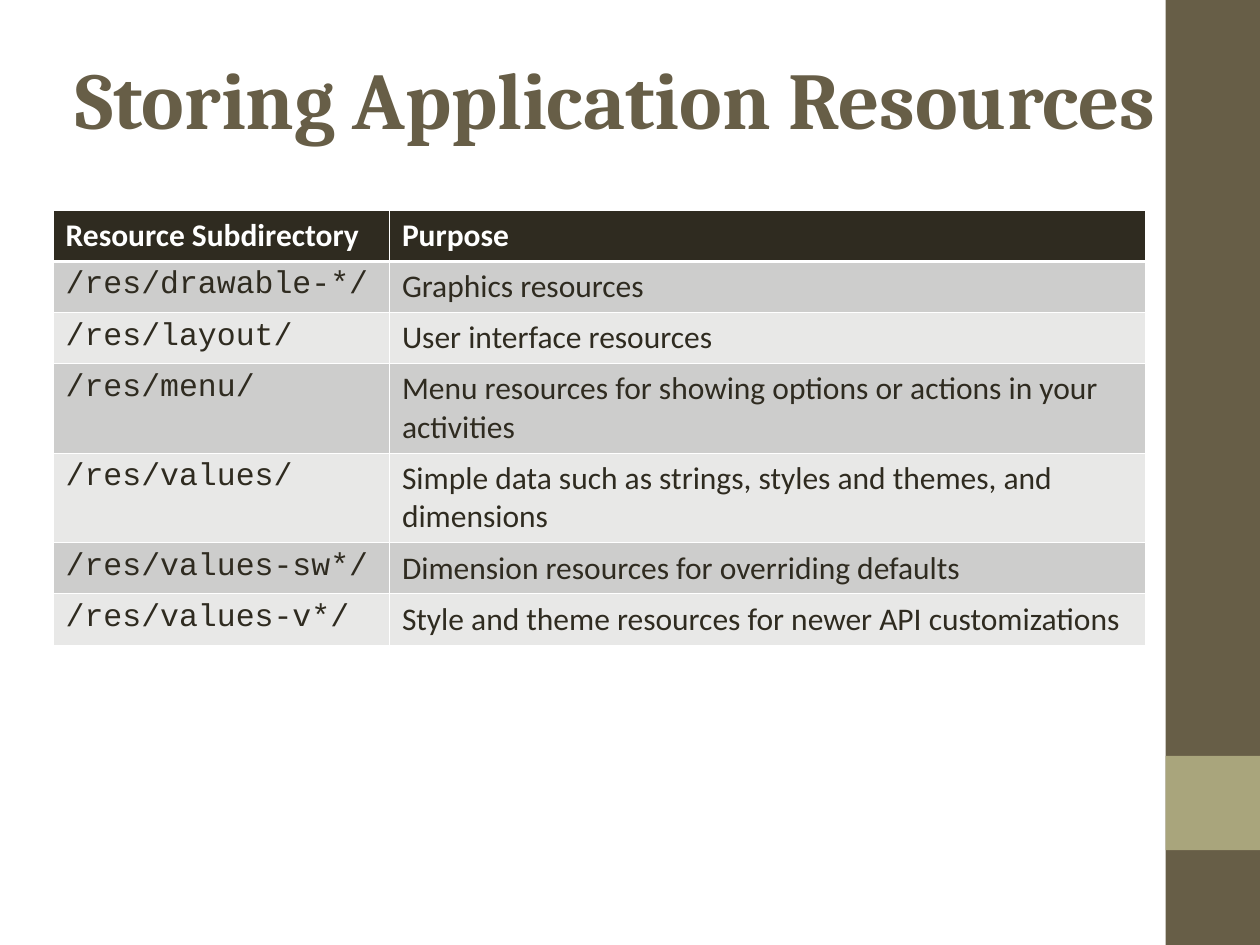
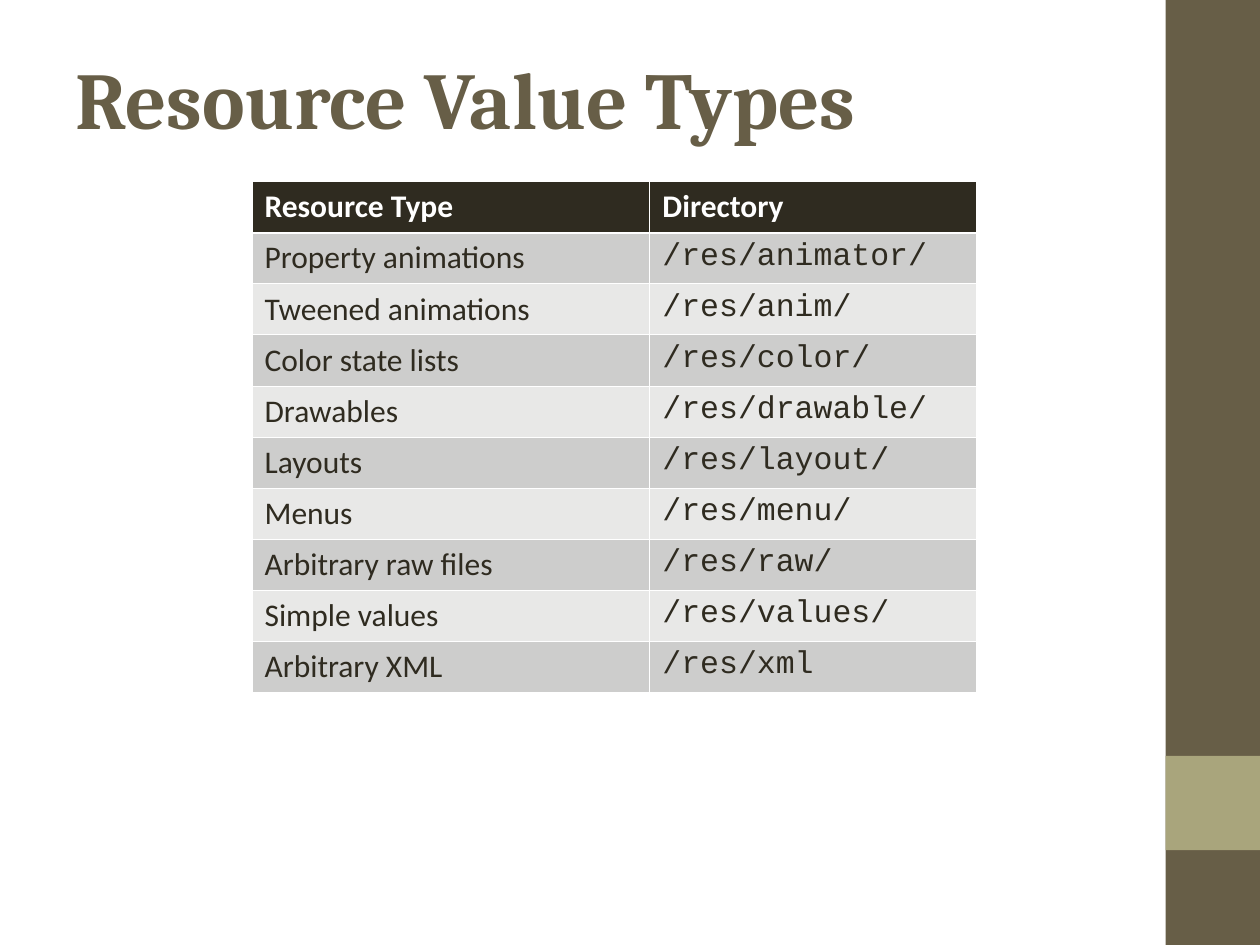
from lxml import etree
from pptx import Presentation
from pptx import util as u
from pptx.dml.color import RGBColor
from pptx.enum import shapes, text
from pptx.oxml import ns

COLORS = {
    "brown": "675E47",
    "olive": "A9A57C",
    "dark": "2F2B20",
    "white": "FFFFFF",
    "odd_row": "CDCDCC",
    "even_row": "E8E8E7",
}
TITLE_FONT, BODY_FONT, CODE_FONT = "Cambria", "Calibri", "Courier New"
TITLE_SIZE, BODY_SIZE = 46, 18
THIN, THICK = 0.45, 1.47  # cell border widths in points
LINE_HEIGHT, CELL_PADDING = 0.77, 0.26  # cm, for table rows


class Deck:
    """Holds the style and the current slide."""

    def __init__(self):
        self.presentation = Presentation()
        self.presentation.slide_width = u.Cm(25.4)
        self.presentation.slide_height = u.Cm(19.05)
        self.layout = self.presentation.slide_layouts[5]  # title only
        self.slide = None

    def color(self, name):
        return RGBColor.from_string(COLORS[name])

    def add_slide(self, title):
        self.slide = self.presentation.slides.add_slide(self.layout)
        self.add_title(title)

    def add_title(self, title):
        shape = self.slide.shapes.title
        shape.left, shape.top = u.Cm(1.27), u.Cm(0.76)
        shape.width, shape.height = u.Cm(22.86), u.Cm(2.41)
        frame = shape.text_frame
        frame.text = title
        frame.word_wrap = True
        frame.auto_size = text.MSO_AUTO_SIZE.NONE
        frame.vertical_anchor = text.MSO_ANCHOR.MIDDLE
        self.format_text(frame, TITLE_FONT, TITLE_SIZE, "brown", True)

    def format_text(self, frame, font_name, size, color, bold):
        for paragraph in frame.paragraphs:
            paragraph.alignment = text.PP_ALIGN.LEFT
            for run in paragraph.runs:
                run.font.name = font_name
                run.font.size = u.Pt(size)
                run.font.bold = bold
                run.font.color.rgb = self.color(color)

    def add_shared_band(self, top, height, color):
        """Draw a band at the right edge and move it to the shared layout."""
        shape = self.slide.shapes.add_shape(
            shapes.MSO_SHAPE.RECTANGLE,
            u.Cm(23.5), u.Cm(top), u.Cm(1.9), u.Cm(height))
        shape.shadow.inherit = False
        shape.fill.solid()
        shape.fill.fore_color.rgb = self.color(color)
        shape.line.fill.background()
        self.layout.shapes.element.append(shape.element)

    def add_borders(self, cell, top, bottom):
        properties = cell._tc.get_or_add_tcPr()
        widths = {"lnL": THIN, "lnR": THIN, "lnT": top, "lnB": bottom}
        for tag, width in widths.items():
            line = etree.SubElement(properties, ns.qn("a:" + tag),
                                    w=str(u.Pt(width)))
            fill = etree.SubElement(line, ns.qn("a:solidFill"))
            etree.SubElement(fill, ns.qn("a:srgbClr"), val=COLORS["white"])

    def add_table(self, left, top, widths, rows, two_line_rows=()):
        """The first row is the header; directory names are set as code."""
        heights = [CELL_PADDING + LINE_HEIGHT * (2 if i in two_line_rows else 1)
                   for i in range(len(rows))]
        table = self.slide.shapes.add_table(
            len(rows), len(widths), u.Cm(left), u.Cm(top),
            u.Cm(sum(widths)), u.Cm(sum(heights))).table
        for column, width in zip(table.columns, widths):
            column.width = u.Cm(width)
        for i, (row, height) in enumerate(zip(rows, heights)):
            table.rows[i].height = u.Cm(height)
            for j, words in enumerate(row):
                self.fill_cell(table.cell(i, j), words, i)

    def fill_cell(self, cell, words, row):
        header = row == 0
        self.add_borders(cell, THICK if row == 1 else THIN,
                         THICK if header else THIN)
        cell.fill.solid()
        band = "odd_row" if row % 2 else "even_row"
        cell.fill.fore_color.rgb = self.color("dark" if header else band)
        cell.text_frame.text = words
        font_name = CODE_FONT if words.startswith("/") else BODY_FONT
        self.format_text(cell.text_frame, font_name, BODY_SIZE,
                         "white" if header else "dark", header)


deck = Deck()

# Slide 1: subdirectories and their purpose
deck.add_slide("Storing Application Resources")
deck.add_shared_band(0, 19.05, "brown")
deck.add_shared_band(15.24, 1.9, "olive")
deck.add_table(1.07, 4.24, [6.78, 15.24], [
    ("Resource Subdirectory", "Purpose"),
    ("/res/drawable-*/", "Graphics resources"),
    ("/res/layout/", "User interface resources"),
    ("/res/menu/",
     "Menu resources for showing options or actions in your activities"),
    ("/res/values/",
     "Simple data such as strings, styles and themes, and dimensions"),
    ("/res/values-sw*/", "Dimension resources for overriding defaults"),
    ("/res/values-v*/",
     "Style and theme resources for newer API customizations"),
], two_line_rows=(3, 4))

# Slide 2: resource types and their directories
deck.add_slide("Resource Value Types")
deck.add_table(5.08, 3.66, [8.02, 6.58], [
    ("Resource Type", "Directory"),
    ("Property animations", "/res/animator/"),
    ("Tweened animations", "/res/anim/"),
    ("Color state lists", "/res/color/"),
    ("Drawables", "/res/drawable/"),
    ("Layouts", "/res/layout/"),
    ("Menus", "/res/menu/"),
    ("Arbitrary raw files", "/res/raw/"),
    ("Simple values", "/res/values/"),
    ("Arbitrary XML", "/res/xml"),
])

deck.presentation.save("out.pptx")
